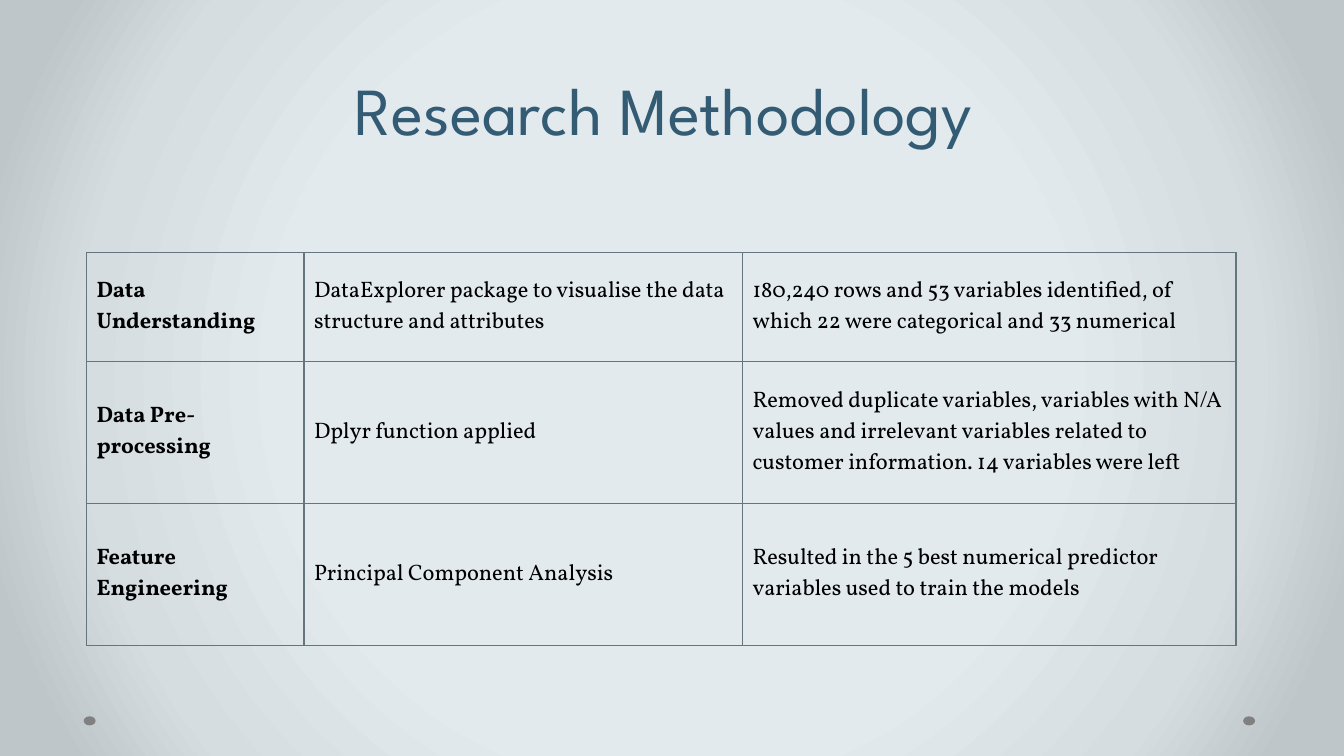
import dataclasses

import pptx
import pptx.dml.color
import pptx.enum.shapes
import pptx.enum.text
import pptx.oxml
import pptx.oxml.ns
import pptx.util

Cm = pptx.util.Cm
Pt = pptx.util.Pt
NAMESPACE = pptx.oxml.ns.nsdecls("a")


@dataclasses.dataclass(frozen=True)
class Theme:
    title_font: str = "League Spartan"
    body_font: str = "Vollkorn"
    title_size: int = 48
    body_size: int = 16
    title_color: str = "335B74"
    body_color: str = "000000"
    border_color: str = "65757D"
    border_width: int = 1
    dot_color: str = "808080"
    backdrop: tuple = ((50, "E2EAEE"), (76, "D6DDE0"), (92, "BFC6CA"))


class SlideBuilder:
    def __init__(self, slide, theme):
        self.slide = slide
        self.theme = theme

    def backdrop(self):
        self.slide.background.fill.gradient()
        gradient = self.slide.element.xpath(".//a:gradFill")[0]
        for child in list(gradient):
            gradient.remove(child)
        stops = "".join(
            f'<a:gs pos="{position * 1000}"><a:srgbClr val="{color}"/></a:gs>'
            for position, color in self.theme.backdrop
        )
        gradient.append(pptx.oxml.parse_xml(f"<a:gsLst {NAMESPACE}>{stops}</a:gsLst>"))
        gradient.append(pptx.oxml.parse_xml(
            f'<a:path {NAMESPACE} path="circle">'
            '<a:fillToRect l="50000" t="50000" r="50000" b="50000"/></a:path>'
        ))

    def style(self, paragraph, font_name, size, color, bold=False):
        for run in paragraph.runs:
            run.font.name = font_name
            run.font.size = Pt(size)
            run.font.bold = bold
            run.font.color.rgb = pptx.dml.color.RGBColor.from_string(color)

    def dot(self, left, top, width, height):
        oval = pptx.enum.shapes.MSO_SHAPE.OVAL
        dot = self.slide.shapes.add_shape(oval, Cm(left), Cm(top), Cm(width), Cm(height))
        dot.shadow.inherit = False
        dot.fill.solid()
        dot.fill.fore_color.rgb = pptx.dml.color.RGBColor.from_string(self.theme.dot_color)
        dot.line.fill.background()

    def title(self, text, left, top, width, height):
        frame = self.slide.shapes.add_textbox(
            Cm(left), Cm(top), Cm(width), Cm(height)
        ).text_frame
        frame.word_wrap = True
        frame.vertical_anchor = pptx.enum.text.MSO_ANCHOR.MIDDLE
        frame.text = text
        heading = frame.paragraphs[0]
        heading.alignment = pptx.enum.text.PP_ALIGN.CENTER
        heading.line_spacing = Pt(self.theme.title_size)
        self.style(heading, self.theme.title_font, self.theme.title_size,
                   self.theme.title_color)

    def border(self, cell):
        properties = cell._tc.get_or_add_tcPr()
        for side in ("lnL", "lnR", "lnT", "lnB"):
            properties.append(pptx.oxml.parse_xml(
                f'<a:{side} {NAMESPACE} w="{Pt(self.theme.border_width)}">'
                f'<a:solidFill><a:srgbClr val="{self.theme.border_color}"/></a:solidFill>'
                f"</a:{side}>"
            ))

    def table(self, rows, left, top, widths, heights):
        table = self.slide.shapes.add_table(
            len(heights), len(widths), Cm(left), Cm(top),
            Cm(sum(widths)), Cm(sum(heights)),
        ).table
        table.first_row = False
        table.horz_banding = False
        for column, width in zip(table.columns, widths):
            column.width = Cm(width)
        for row, height, texts in zip(table.rows, heights, rows):
            row.height = Cm(height)
            for index, (cell, text) in enumerate(zip(row.cells, texts)):
                self.border(cell)
                cell.fill.background()
                cell.vertical_anchor = pptx.enum.text.MSO_ANCHOR.MIDDLE
                cell.text_frame.text = text
                self.style(cell.text_frame.paragraphs[0], self.theme.body_font,
                           self.theme.body_size, self.theme.body_color, bold=index == 0)


METHOD_STEPS = (
    ("Data Understanding",
     "DataExplorer package to visualise the data structure and attributes",
     "180,240 rows and 53 variables identified, of which 22 were categorical "
     "and 33 numerical"),
    ("Data Pre-processing",
     "Dplyr function applied",
     "Removed duplicate variables, variables with N/A values and irrelevant variables "
     "related to customer information. 14 variables were left"),
    ("Feature Engineering",
     "Principal Component Analysis",
     "Resulted in the 5 best numerical predictor variables used to train the models"),
)


def main():
    presentation = pptx.Presentation()
    presentation.slide_width = Cm(33.87)
    presentation.slide_height = Cm(19.05)
    slide = presentation.slides.add_slide(presentation.slide_layouts[6])
    builder = SlideBuilder(slide, Theme())
    builder.backdrop()
    for dot_left in (31.33, 2.11):
        builder.dot(dot_left, 18.05, 0.3, 0.23)
    builder.table(METHOD_STEPS, 2.18, 6.37, (5.48, 11.05, 12.44), (2.74, 3.58, 3.58))
    builder.title("Research Methodology ", 1.7, 1.55, 30.48, 2.69)
    presentation.save("out.pptx")


if __name__ == "__main__":
    main()
